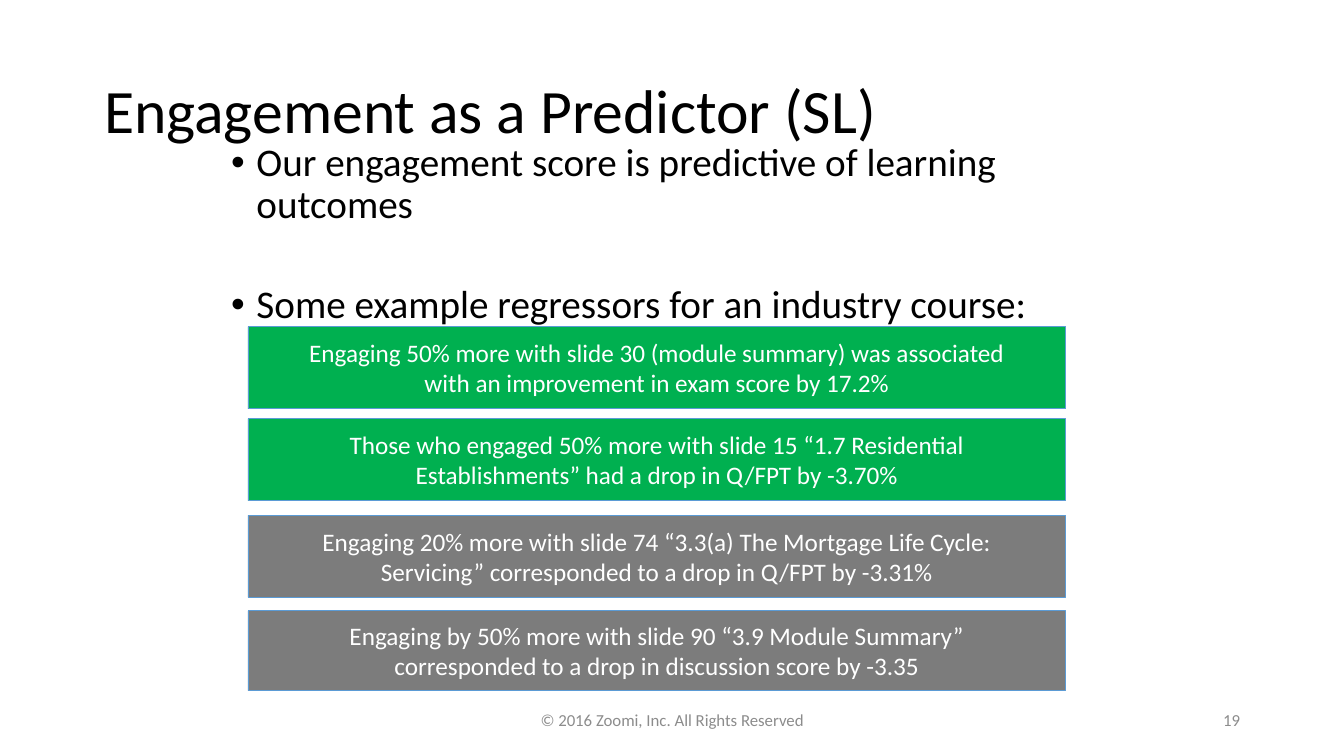
import pptx
import pptx.util
import pptx.dml.color
import pptx.enum.shapes
import pptx.enum.text
import pptx.oxml
import pptx.oxml.ns
from dataclasses import dataclass

Pt = pptx.util.Pt
ALIGN = pptx.enum.text.PP_ALIGN
ANCHOR = pptx.enum.text.MSO_ANCHOR
PX = 9144  # EMU per px, 100 px to the inch


@dataclass(frozen=True)
class Theme:
    font: str = "Calibri"
    ink: str = "000000"
    muted: str = "8C8C8C"
    on_card: str = "FFFFFF"
    green: str = "00B050"
    grey: str = "7C7C7C"
    outline: str = "5B9BD5"
    title_size: float = 36.7
    body_size: float = 23.3
    card_size: float = 15
    footer_size: float = 10


THEME = Theme()

TITLE = "Engagement as a Predictor (SL)"
POINTS = [
    "Our engagement score is predictive of learning outcomes",
    "Some example regressors for an industry course:",
]
# top, height, fill, lines
FINDINGS = [
    (270, 68, THEME.green, [
        "Engaging 50% more with slide 30 (module summary) was associated",
        "with an improvement in exam score by 17.2%"]),
    (346, 68, THEME.green, [
        "Those who engaged 50% more with slide 15 “1.7 Residential",
        "Establishments” had a drop in Q/FPT by -3.70%"]),
    (426, 68, THEME.grey, [
        "Engaging 20% more with slide 74 “3.3(a) The Mortgage Life Cycle:",
        "Servicing” corresponded to a drop in Q/FPT by -3.31%"]),
    (505, 66, THEME.grey, [
        "Engaging by 50% more with slide 90 “3.9 Module Summary”",
        "corresponded to a drop in discussion score by -3.35"]),
]


def rgb(color):
    return pptx.dml.color.RGBColor.from_string(color)


def emu(box):
    return [length * PX for length in box]


def place(placeholder, box):
    placeholder.left, placeholder.top, placeholder.width, placeholder.height = emu(box)


def add_bullet(paragraph, indent):
    properties = paragraph._p.get_or_add_pPr()
    properties.set("marL", str(indent * PX))
    properties.set("indent", str(-indent * PX))
    bullet = pptx.oxml.parse_xml(
        f'<a:buChar {pptx.oxml.ns.nsdecls("a")} char="•"/>')
    properties.append(bullet)


def write(frame, lines, size, color, align, anchor, line_spacing=1.0,
          gap=0, bullet_indent=0):
    frame.word_wrap = True
    frame.auto_size = pptx.enum.text.MSO_AUTO_SIZE.NONE
    frame.vertical_anchor = anchor
    for number, line in enumerate(lines):
        paragraph = frame.add_paragraph() if number else frame.paragraphs[0]
        paragraph.text = line
        if bullet_indent:
            add_bullet(paragraph, bullet_indent)
        paragraph.alignment = align
        paragraph.line_spacing = line_spacing
        paragraph.space_before = Pt(gap if number else 0)
        paragraph.font.name = THEME.font
        paragraph.font.size = Pt(size)
        paragraph.font.color.rgb = rgb(color)


def fill_title(slide, box):
    heading = slide.shapes.title
    place(heading, box)
    write(heading.text_frame, [TITLE], THEME.title_size, THEME.ink,
          ALIGN.LEFT, ANCHOR.MIDDLE, line_spacing=0.9)


def fill_points(slide, box):
    points = slide.placeholders[1]
    place(points, box)
    write(points.text_frame, POINTS, THEME.body_size, THEME.ink,
          ALIGN.LEFT, ANCHOR.TOP, line_spacing=0.9, gap=34.5, bullet_indent=21)


def add_findings(slide, left, width):
    for top, height, fill, lines in FINDINGS:
        card = slide.shapes.add_shape(
            pptx.enum.shapes.MSO_SHAPE.RECTANGLE, *emu((left, top, width, height)))
        card.shadow.inherit = False
        card.fill.solid()
        card.fill.fore_color.rgb = rgb(fill)
        card.line.color.rgb = rgb(THEME.outline)
        card.line.width = Pt(0.5)
        write(card.text_frame, lines, THEME.card_size, THEME.on_card,
              ALIGN.CENTER, ANCHOR.MIDDLE)


def add_footer(slide, top, height):
    parts = [
        (368, 375, "© 2016 Zoomi, Inc. All Rights Reserved", ALIGN.CENTER),
        (785, 250, "19", ALIGN.RIGHT),
    ]
    for left, width, text, align in parts:
        footer = slide.shapes.add_textbox(*emu((left, top, width, height)))
        write(footer.text_frame, [text], THEME.footer_size, THEME.muted,
              align, ANCHOR.MIDDLE)


def main():
    deck = pptx.Presentation()
    deck.slide_width, deck.slide_height = emu((1111, 625))
    slide = deck.slides.add_slide(deck.slide_layouts[1])

    # Heading and list
    fill_title(slide, (76, 33, 958, 121))
    fill_points(slide, (181, 113, 750, 412))

    # Footer, then the findings in front
    add_footer(slide, 579, 33)
    add_findings(slide, 205, 676)

    deck.save("out.pptx")


if __name__ == "__main__":
    main()
